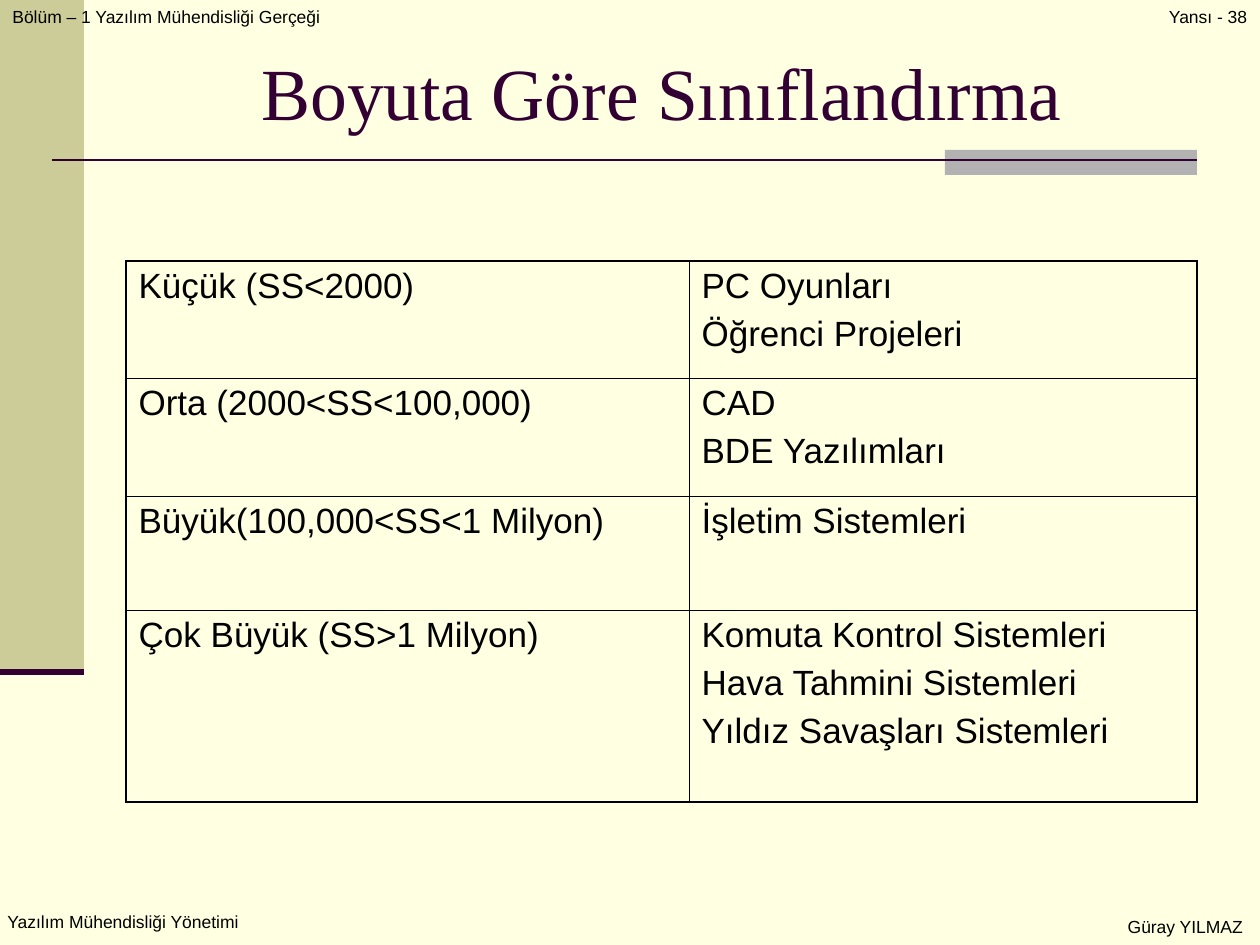
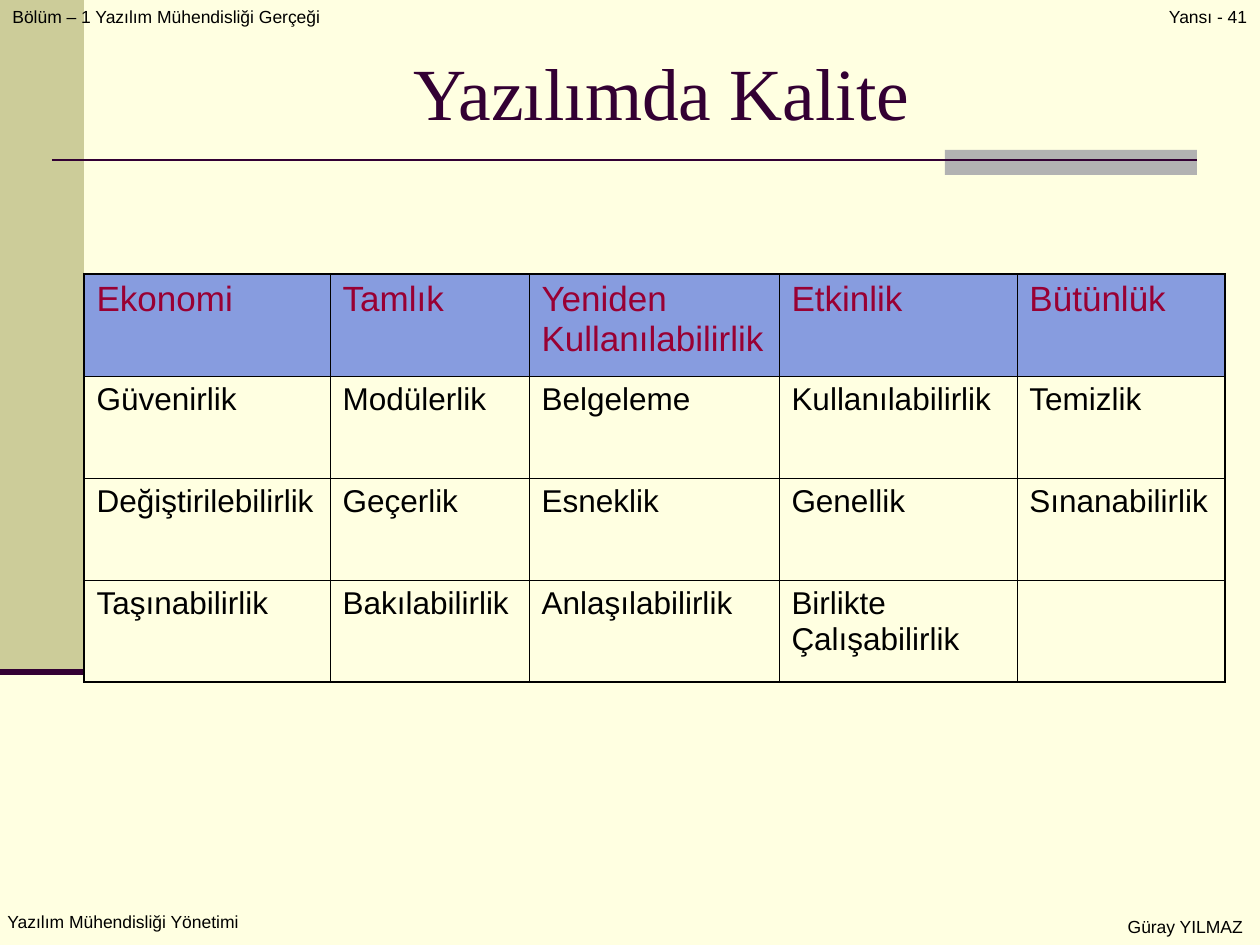
import pptx
import pptx.util
import pptx.dml.color
import pptx.enum.shapes
import pptx.enum.text
import pptx.oxml
import pptx.oxml.ns
import lxml.etree

RGBColor = pptx.dml.color.RGBColor
ALIGN = pptx.enum.text.PP_ALIGN
ANCHOR = pptx.enum.text.MSO_ANCHOR

CREAM = RGBColor(0xFF, 0xFF, 0xE1)
OLIVE = RGBColor(0xCC, 0xCC, 0x99)
GREY = RGBColor(0xB2, 0xB2, 0xB2)
PLUM = RGBColor(0x33, 0x00, 0x33)
BLACK = RGBColor(0x00, 0x00, 0x00)
CRIMSON = RGBColor(0x99, 0x00, 0x33)
PERIWINKLE = RGBColor(0x87, 0x9C, 0xDF)

BODY_FONT = "Arial"
TITLE_FONT = "Times New Roman"
PAGE_WIDTH, PAGE_HEIGHT = 1260, 945
OUTER_BORDER, INNER_BORDER = 1.08, 0.45

SIZE_ROWS = [
    [["Küçük (SS<2000)"], ["PC Oyunları", "Öğrenci Projeleri"]],
    [["Orta (2000<SS<100,000)"], ["CAD", "BDE Yazılımları"]],
    [["Büyük(100,000<SS<1 Milyon)"], ["İşletim Sistemleri"]],
    [["Çok Büyük (SS>1 Milyon)"],
     ["Komuta Kontrol Sistemleri", "Hava Tahmini Sistemleri", "Yıldız Savaşları Sistemleri"]],
]
QUALITY_ROWS = [
    [["Ekonomi"], ["Tamlık"], ["Yeniden Kullanılabilirlik"], ["Etkinlik"], ["Bütünlük"]],
    [["Güvenirlik"], ["Modülerlik"], ["Belgeleme"], ["Kullanılabilirlik"], ["Temizlik"]],
    [["Değiştirilebilirlik"], ["Geçerlik"], ["Esneklik"], ["Genellik"], ["Sınanabilirlik"]],
    [["Taşınabilirlik"], ["Bakılabilirlik"], ["Anlaşılabilirlik"], ["Birlikte Çalışabilirlik"], []],
]


def px(length):
    return pptx.util.Emu(round(length * 914400 / 126))


def add_run(para, text, size, color, font=BODY_FONT):
    span = para.add_run()
    span.text = text
    span.font.size = pptx.util.Pt(size)
    span.font.name = font
    span.font.color.rgb = color


def add_label(page, box, text, align, size=10, color=BLACK, font=BODY_FONT, anchor=ANCHOR.TOP):
    frame = page.shapes.add_textbox(*map(px, box)).text_frame
    frame.word_wrap = True
    frame.vertical_anchor = anchor
    para = frame.paragraphs[0]
    para.alignment = align
    add_run(para, text, size, color, font)


def add_block(page, box, color):
    block = page.shapes.add_shape(pptx.enum.shapes.MSO_SHAPE.RECTANGLE, *map(px, box))
    block.shadow.inherit = False
    block.fill.solid()
    block.fill.fore_color.rgb = color
    block.line.fill.background()


def add_rule(page, left, right, y, width):
    rule = page.shapes.add_connector(
        pptx.enum.shapes.MSO_CONNECTOR.STRAIGHT, px(left), px(y), px(right), px(y))
    rule.line.color.rgb = PLUM
    rule.line.width = pptx.util.Pt(width)
    properties = rule._element.spPr
    lxml.etree.SubElement(properties, pptx.oxml.ns.qn("a:effectLst"))


def add_frame(page, title, number):
    """Draw the side band, title, header and footer that every slide shares."""
    page.background.fill.solid()
    page.background.fill.fore_color.rgb = CREAM
    add_block(page, (0, 0, 84, 672), OLIVE)
    add_block(page, (945, 150, 252, 25), GREY)
    add_rule(page, 52, 1197, 160, 1.5)
    add_rule(page, 0, 84, 672, 3.5)
    add_label(page, (0, 0, 412, 63), "Bölüm – 1 Yazılım Mühendisliği Gerçeği", ALIGN.LEFT)
    add_label(page, (1146, 0, 124, 63), f"Yansı - {number}", ALIGN.CENTER)
    add_label(page, (-5, 905, 273, 32), "Yazılım Mühendisliği Yönetimi", ALIGN.LEFT)
    add_label(page, (845, 910, 410, 32), "Güray YILMAZ", ALIGN.RIGHT)
    add_label(page, (126, 38, 1071, 107), title, ALIGN.CENTER, 42, PLUM, TITLE_FONT, ANCHOR.MIDDLE)


def set_borders(cell, outer_sides):
    properties = cell._tc.get_or_add_tcPr()
    for side in "LRTB":
        width = OUTER_BORDER if side in outer_sides else INNER_BORDER
        properties.append(pptx.oxml.parse_xml(
            f'<a:ln{side} {pptx.oxml.ns.nsdecls("a")} w="{pptx.util.Pt(width)}">'
            f'<a:solidFill><a:srgbClr val="{BLACK}"/></a:solidFill></a:ln{side}>'))


def fill_cell(cell, lines, size, color, fill):
    if fill is None:
        cell.fill.background()
    else:
        cell.fill.solid()
        cell.fill.fore_color.rgb = fill
    frame = cell.text_frame
    for index, line in enumerate(lines):
        para = frame.add_paragraph() if index else frame.paragraphs[0]
        if index:
            para.space_before = pptx.util.Pt(size / 4)
        add_run(para, line, size, color)


def add_grid(page, left, top, widths, heights, rows, body_size, has_header=False):
    box = map(px, (left, top, sum(widths), sum(heights)))
    table = page.shapes.add_table(len(heights), len(widths), *box).table
    table.first_row = table.horz_banding = False
    for column, width in zip(table.columns, widths):
        column.width = px(width)
    for row, height in zip(table.rows, heights):
        row.height = px(height)
    for r, row in enumerate(rows):
        style = (20, CRIMSON, PERIWINKLE) if has_header and r == 0 else (body_size, BLACK, None)
        for c, lines in enumerate(row):
            edges = {"L": c == 0, "R": c == len(row) - 1, "T": r == 0, "B": r == len(rows) - 1}
            cell = table.cell(r, c)
            set_borders(cell, [side for side, is_outer in edges.items() if is_outer])
            fill_cell(cell, lines, *style)


def add_page(deck, title, number):
    page = deck.slides.add_slide(deck.slide_layouts[6])
    add_frame(page, title, number)
    return page


def add_size_page(deck):
    page = add_page(deck, "Boyuta Göre Sınıflandırma", 38)
    add_grid(page, 126, 261, [563, 508], [117, 118, 114, 192], SIZE_ROWS, 20)


def add_quality_page(deck):
    page = add_page(deck, "Yazılımda Kalite", 41)
    add_grid(page, 84, 274, [246, 199, 250, 238, 208], [102] * 4, QUALITY_ROWS, 18, has_header=True)


def main():
    deck = pptx.Presentation()
    deck.slide_width, deck.slide_height = px(PAGE_WIDTH), px(PAGE_HEIGHT)
    add_size_page(deck)
    add_quality_page(deck)
    deck.save("out.pptx")


if __name__ == "__main__":
    main()
